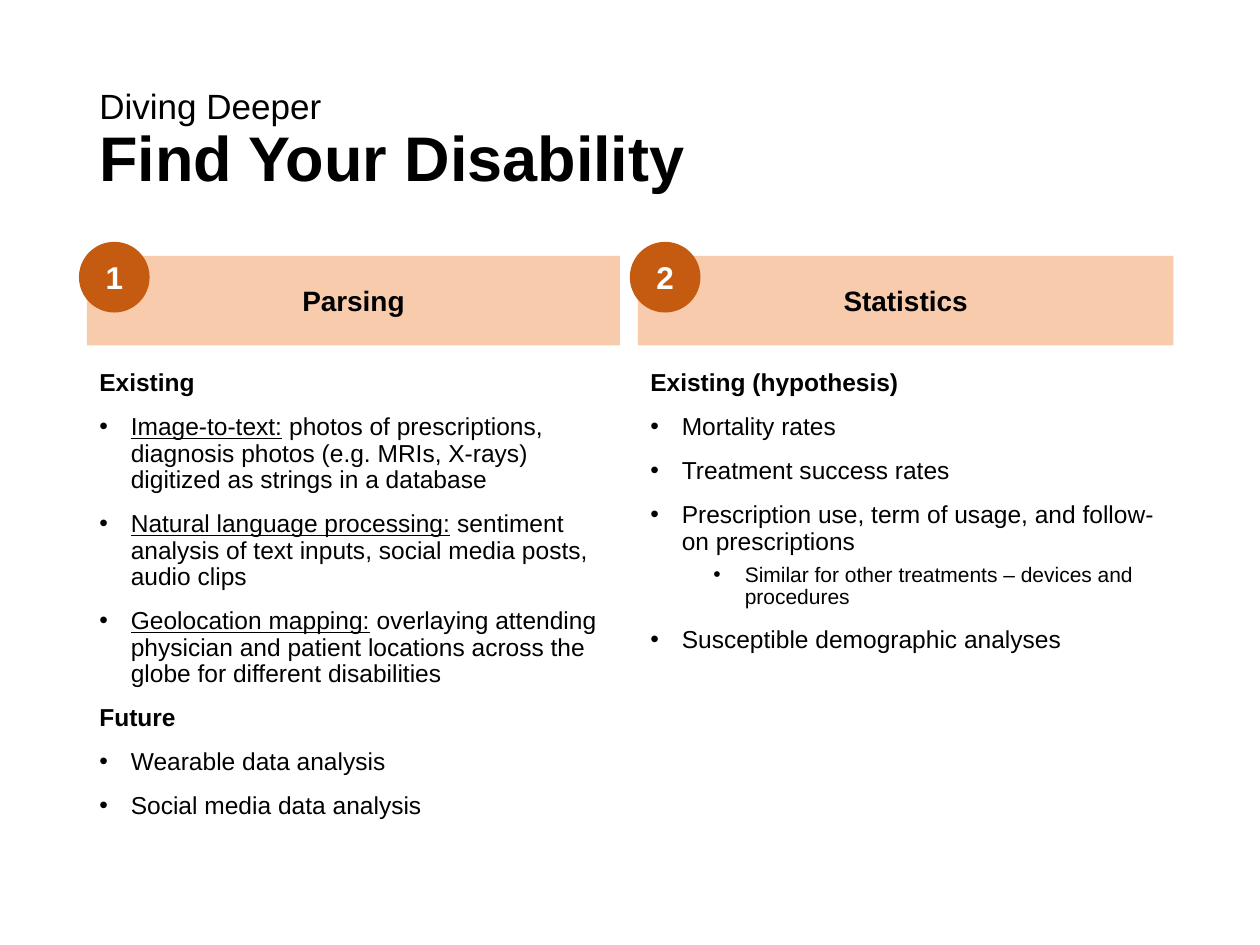
from dataclasses import dataclass

from lxml import etree
from pptx import Presentation
from pptx.dml.color import RGBColor
from pptx.enum.shapes import MSO_SHAPE
from pptx.enum.text import MSO_ANCHOR, PP_ALIGN
from pptx.oxml.ns import qn
from pptx.util import Pt

RECT, OVAL = MSO_SHAPE.RECTANGLE, MSO_SHAPE.OVAL
MIDDLE, CENTER = MSO_ANCHOR.MIDDLE, PP_ALIGN.CENTER
FONT = "Arial"
COLORS = {"text": "000000", "header": "F8CBAD", "badge": "C55A11", "number": "FFFFFF"}

LEFT, TITLE_TOP, TITLE_W, TITLE_H = 49.7, 28.8, 620.6, 104.4
HEADER_TOP, HEADER_H = 146.2, 51.1
BODY_TOP, BODY_H = HEADER_TOP + HEADER_H, 290.2
BADGE_TOP, BADGE_SIZE, BADGE_OVERHANG = 138.2, 40.4, 4.6
INDENT, LEVEL_STEP = 18, 36


@dataclass
class Item:
    text: str
    lead: str = ""  # underlined opening words
    heading: bool = False
    level: int = 0


@dataclass
class Column:
    title: str
    left: float
    width: float
    items: list[Item]


COLUMNS = [
    Column("Parsing", LEFT, 304.6, [
        Item("Existing", heading=True),
        Item(" photos of prescriptions, diagnosis photos (e.g. MRIs, X-rays) "
             "digitized as strings in a database", "Image-to-text:"),
        Item(" sentiment analysis of text inputs, social media posts, audio clips",
             "Natural language processing:"),
        Item(" overlaying attending physician and patient locations across the "
             "globe for different disabilities", "Geolocation mapping:"),
        Item("Future", heading=True),
        Item("Wearable data analysis"),
        Item("Social media data analysis"),
    ]),
    Column("Statistics", 364.5, 306, [
        Item("Existing (hypothesis)", heading=True),
        Item("Mortality rates"),
        Item("Treatment success rates"),
        Item("Prescription use, term of usage, and follow-on prescriptions"),
        Item("Similar for other treatments – devices and procedures", level=1),
        Item("Susceptible demographic analyses"),
    ]),
]


def add_run(p, text: str, size: float, bold: bool = False,
            color: str = "text", underline: bool = False) -> None:
    r = p.add_run()
    r.text = text
    r.font.name, r.font.size, r.font.bold = FONT, Pt(size), bold
    r.font.color.rgb = RGBColor.from_string(COLORS[color])
    if underline:
        r.font.underline = True


def add_text_box(s, left: float, top: float, width: float, height: float):
    tf = s.shapes.add_textbox(Pt(left), Pt(top), Pt(width), Pt(height)).text_frame
    tf.word_wrap = True
    return tf


def add_filled_shape(s, kind, left: float, top: float, width: float, height: float,
                     fill: str, text: str, size: float, color: str) -> None:
    """Draw a borderless shape with one bold, centred line of text."""
    sp = s.shapes.add_shape(kind, Pt(left), Pt(top), Pt(width), Pt(height))
    sp.shadow.inherit = False
    sp.fill.solid()
    sp.fill.fore_color.rgb = RGBColor.from_string(COLORS[fill])
    sp.line.fill.background()
    tf = sp.text_frame
    tf.vertical_anchor = MIDDLE
    p = tf.paragraphs[0]
    p.alignment = CENTER
    add_run(p, text, size, True, color)


def set_bullet(p, level: int) -> None:
    p.level = level
    pPr = p._p.get_or_add_pPr()
    pPr.set("marL", str(Pt(INDENT + LEVEL_STEP * level)))
    pPr.set("indent", str(-Pt(INDENT)))
    etree.SubElement(pPr, qn("a:buFont")).set("typeface", FONT)
    etree.SubElement(pPr, qn("a:buChar")).set("char", "•")


def add_title(s) -> None:
    tf = add_text_box(s, LEFT, TITLE_TOP, TITLE_W, TITLE_H)
    tf.vertical_anchor = MIDDLE
    p = tf.paragraphs[0]
    p.line_spacing = 0.9
    add_run(p, "Diving Deeper", 20)
    p.add_line_break()
    add_run(p, "Find Your Disability", 36, True)


def add_items(s, column: Column) -> None:
    tf = add_text_box(s, column.left, BODY_TOP, column.width, BODY_H)
    tf.margin_top = Pt(14.4)
    for i, item in enumerate(column.items):
        p = tf.add_paragraph() if i else tf.paragraphs[0]
        p.line_spacing = 0.9
        p.space_before = Pt(5 if item.level else 10)
        if not item.heading:
            set_bullet(p, item.level)
        size = 12 if item.level else 14
        if item.lead:
            add_run(p, item.lead, size, underline=True)
        add_run(p, item.text, size, item.heading)


def main() -> None:
    prs = Presentation()
    prs.slide_width, prs.slide_height = Pt(720), Pt(540)
    s = prs.slides.add_slide(prs.slide_layouts[6])
    add_title(s)
    for number, column in enumerate(COLUMNS, 1):
        add_filled_shape(s, RECT, column.left, HEADER_TOP, column.width, HEADER_H,
                         "header", column.title, 16, "text")
        add_items(s, column)
        add_filled_shape(s, OVAL, column.left - BADGE_OVERHANG, BADGE_TOP,
                         BADGE_SIZE, BADGE_SIZE, "badge", str(number), 18, "number")
    prs.save("out.pptx")


if __name__ == "__main__":
    main()
